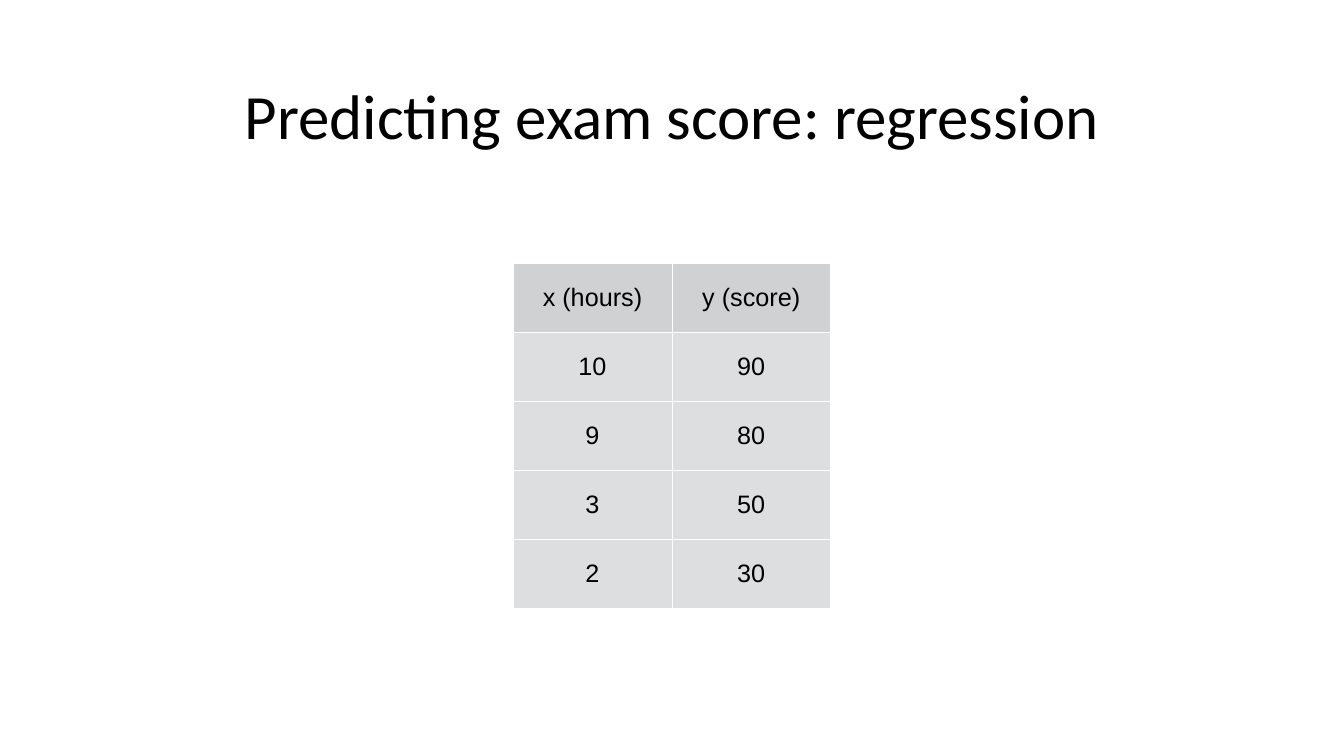
from lxml.etree import SubElement
from pptx import Presentation
from pptx.dml.color import RGBColor
from pptx.enum.text import MSO_ANCHOR as Anchor, PP_ALIGN as Align
from pptx.oxml.ns import qn
from pptx.util import Pt

COLORS = {
    "text": "000000",
    "header": "D0D1D2",
    "body": "DCDEE0",
    "border": "FFFFFF",
}
ROWS = [
    ("x (hours)", "y (score)"),
    ("10", "90"),
    ("9", "80"),
    ("3", "50"),
    ("2", "30"),
]
COLUMN_WIDTH = 226.8
ROW_HEIGHT = 98.6


def write_text(frame, text, font_format):
    paragraph = frame.paragraphs[0]
    paragraph.alignment = Align.CENTER
    run = paragraph.add_run()
    run.text = text
    for name, value in font_format.items():
        setattr(run.font, name, value)
    run.font.color.rgb = RGBColor.from_string(COLORS["text"])


def add_borders(cell):
    properties = cell._tc.get_or_add_tcPr()
    for side in ("lnL", "lnR", "lnT", "lnB"):
        line = SubElement(properties, qn(f"a:{side}"), w=str(Pt(1)))
        fill = SubElement(line, qn("a:solidFill"))
        SubElement(fill, qn("a:srgbClr"), val=COLORS["border"])


presentation = Presentation()
presentation.slide_width = Pt(1920)
presentation.slide_height = Pt(1080)
slide = presentation.slides.add_slide(presentation.slide_layouts[6])

title = slide.shapes.add_textbox(Pt(-1.5), Pt(28), Pt(1923), Pt(270))
title_format = {
    "word_wrap": True,
    "vertical_anchor": Anchor.MIDDLE,
    "margin_left": Pt(6),
    "margin_right": Pt(6),
    "margin_top": Pt(6),
    "margin_bottom": Pt(6),
}
for name, value in title_format.items():
    setattr(title.text_frame, name, value)
write_text(title.text_frame, "Predicting exam score: regression",
           {"name": "Calibri", "size": Pt(90)})

table = slide.shapes.add_table(
    len(ROWS), len(ROWS[0]), Pt(733), Pt(376.6),
    Pt(COLUMN_WIDTH * len(ROWS[0])), Pt(ROW_HEIGHT * len(ROWS))).table
for column in table.columns:
    column.width = Pt(COLUMN_WIDTH)
for row in table.rows:
    row.height = Pt(ROW_HEIGHT)

cell_format = {
    "vertical_anchor": Anchor.MIDDLE,
    "margin_left": Pt(4),
    "margin_right": Pt(4),
    "margin_top": Pt(4),
    "margin_bottom": Pt(4),
}
for row_index, values in enumerate(ROWS):
    for column_index, value in enumerate(values):
        cell = table.cell(row_index, column_index)
        for name, setting in cell_format.items():
            setattr(cell, name, setting)
        add_borders(cell)
        cell.fill.solid()
        fill_color = COLORS["body" if row_index else "header"]
        cell.fill.fore_color.rgb = RGBColor.from_string(fill_color)
        write_text(cell.text_frame, value,
                   {"name": "Arial", "size": Pt(36), "bold": False})

presentation.save("out.pptx")
